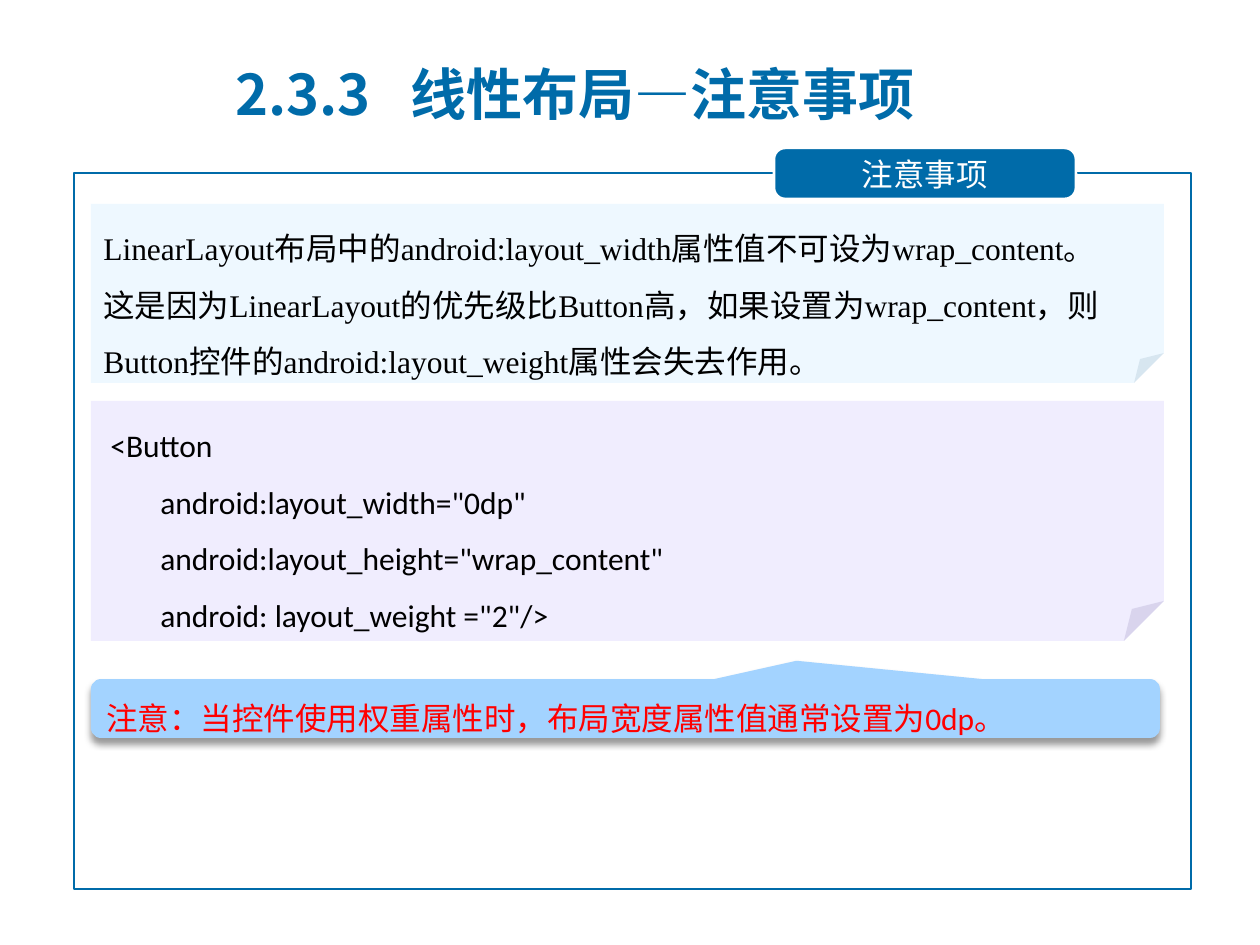
from dataclasses import dataclass
from typing import Optional

from lxml import etree
from pptx import Presentation, util as u
from pptx.dml.color import RGBColor
from pptx.enum import shapes, text
from pptx.oxml import ns

PX = 914400 / 126
CJK = "Noto Sans CJK SC"
NAVY = RGBColor(0x00, 0x6B, 0xA9)
PALE_BLUE = RGBColor(0xC5, 0xE8, 0xFF)
PALE_VIOLET = RGBColor(0xD1, 0xC7, 0xFD)
SKY = RGBColor(0xA3, 0xD3, 0xFF)
RED = RGBColor(0xFF, 0x00, 0x00)
BLACK = RGBColor(0x00, 0x00, 0x00)
WHITE = RGBColor(0xFF, 0xFF, 0xFF)


@dataclass(frozen=True)
class Panel:
    preset: shapes.MSO_SHAPE
    box: tuple[int, int, int, int]
    lines: tuple[str, ...] = ()
    font: str = CJK
    ink: RGBColor = BLACK
    fill: Optional[RGBColor] = None
    alpha: int = 100
    outline: Optional[RGBColor] = None
    adjustments: tuple[float, ...] = ()
    indents: tuple[int, ...] = ()
    anchor: text.MSO_ANCHOR = text.MSO_ANCHOR.MIDDLE
    align: text.PP_ALIGN = text.PP_ALIGN.LEFT
    spacing: float = 1.5
    shadow: bool = False


FOLDED = shapes.MSO_SHAPE.FOLDED_CORNER
TOP = text.MSO_ANCHOR.TOP
PANELS = (
    Panel(FOLDED, (91, 204, 1073, 179),
          ("LinearLayout布局中的android:layout_width属性值不可设为wrap_content。",
           "这是因为LinearLayout的优先级比Button高，如果设置为wrap_content，则"
           "Button控件的android:layout_weight属性会失去作用。"),
          font="Times New Roman", fill=PALE_BLUE, alpha=28, anchor=TOP),
    Panel(FOLDED, (91, 401, 1073, 240),
          ("<Button", 'android:layout_width="0dp"',
           'android:layout_height="wrap_content"', 'android: layout_weight ="2"/>'),
          font="Calibri", fill=PALE_VIOLET, alpha=31, anchor=TOP,
          indents=(7, 57, 57, 57)),
    Panel(shapes.MSO_SHAPE.ROUNDED_RECTANGULAR_CALLOUT, (91, 679, 1069, 59),
          ("注意：当控件使用权重属性时，布局宽度属性值通常设置为0dp。",),
          font="Calibri", ink=RED, fill=SKY, adjustments=(0.16, -0.81, 0.17),
          shadow=True),
    Panel(shapes.MSO_SHAPE.RECTANGLE, (74, 173, 1117, 716), outline=NAVY),
    Panel(shapes.MSO_SHAPE.ROUNDED_RECTANGLE, (774, 148, 302, 51), ("注意事项",),
          ink=WHITE, fill=NAVY, outline=WHITE, adjustments=(0.22,),
          align=text.PP_ALIGN.CENTER, spacing=1.0),
)


def px(length: int) -> u.Emu:
    return u.Emu(round(length * PX))


def add_child(parent, tag: str, **attributes):
    return etree.SubElement(parent, ns.qn(tag), attributes)


def style_run(run, font: str, size: int, ink: RGBColor, bold: bool = False) -> None:
    run.font.name = font
    run.font.size = u.Pt(size)
    run.font.bold = bold
    run.font.color.rgb = ink
    add_child(run.font._element, "a:ea", typeface=CJK)


def add_shadow(shape) -> None:
    effects = shape._element.spPr.find(ns.qn("a:effectLst"))
    outer = add_child(effects, "a:outerShdw", blurRad=str(u.Pt(4)), dist=str(u.Pt(3)),
                      dir="5400000", algn="t", rotWithShape="0")
    shade = add_child(outer, "a:srgbClr", val=str(BLACK))
    add_child(shade, "a:alpha", val="40000")


def paint(shape, panel: Panel) -> None:
    if panel.fill is None:
        shape.fill.background()
    else:
        shape.fill.solid()
        shape.fill.fore_color.rgb = panel.fill
        if panel.alpha < 100:
            tint = shape._element.spPr.find(".//" + ns.qn("a:srgbClr"))
            add_child(tint, "a:alpha", val=str(panel.alpha * 1000))
    if panel.outline is None:
        shape.line.fill.background()
    else:
        shape.line.color.rgb = panel.outline
        shape.line.width = u.Pt(1.5)
    shape.shadow.inherit = False
    if panel.shadow:
        add_shadow(shape)


def write(shape, panel: Panel) -> None:
    frame = shape.text_frame
    frame.word_wrap = True
    frame.vertical_anchor = panel.anchor
    frame.text = "\n".join(panel.lines)
    for paragraph in frame.paragraphs:
        paragraph.alignment = panel.align
        paragraph.line_spacing = panel.spacing
        for run in paragraph.runs:
            style_run(run, panel.font, 18, panel.ink)
    for paragraph, indent in zip(frame.paragraphs, panel.indents):
        paragraph._p.get_or_add_pPr().set("marL", str(px(indent)))


def add_panel(slide, panel: Panel) -> None:
    shape = slide.shapes.add_shape(panel.preset, *map(px, panel.box))
    for index, value in enumerate(panel.adjustments):
        shape.adjustments[index] = value
    paint(shape, panel)
    if panel.lines:
        write(shape, panel)


def add_title(slide) -> None:
    title = slide.shapes.add_textbox(px(223), px(55), px(824), px(77))
    frame = title.text_frame
    frame.word_wrap = True
    frame.vertical_anchor = text.MSO_ANCHOR.MIDDLE
    frame.text = "2.3.3\t线性布局—注意事项"
    heading = frame.paragraphs[0]
    stops = add_child(heading._p.get_or_add_pPr(), "a:tabLst")
    add_child(stops, "a:tab", pos=str(px(175)), algn="l")
    for run in heading.runs:
        style_run(run, CJK, 32, NAVY, bold=True)


def main() -> None:
    deck = Presentation()
    deck.slide_width, deck.slide_height = px(1260), px(945)
    slide = deck.slides.add_slide(deck.slide_layouts[6])
    add_title(slide)
    for panel in PANELS:
        add_panel(slide, panel)
    deck.save("out.pptx")


if __name__ == "__main__":
    main()
